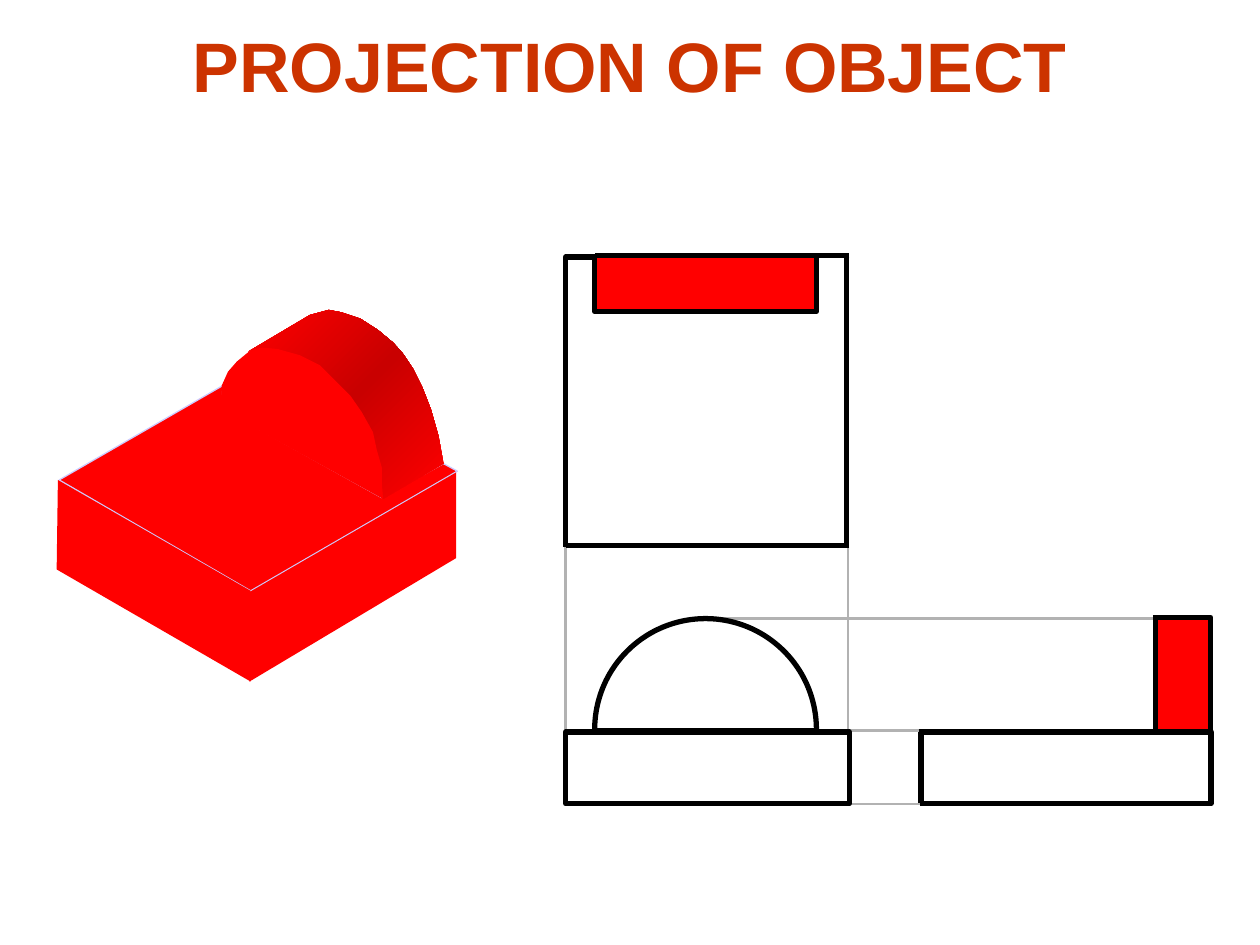
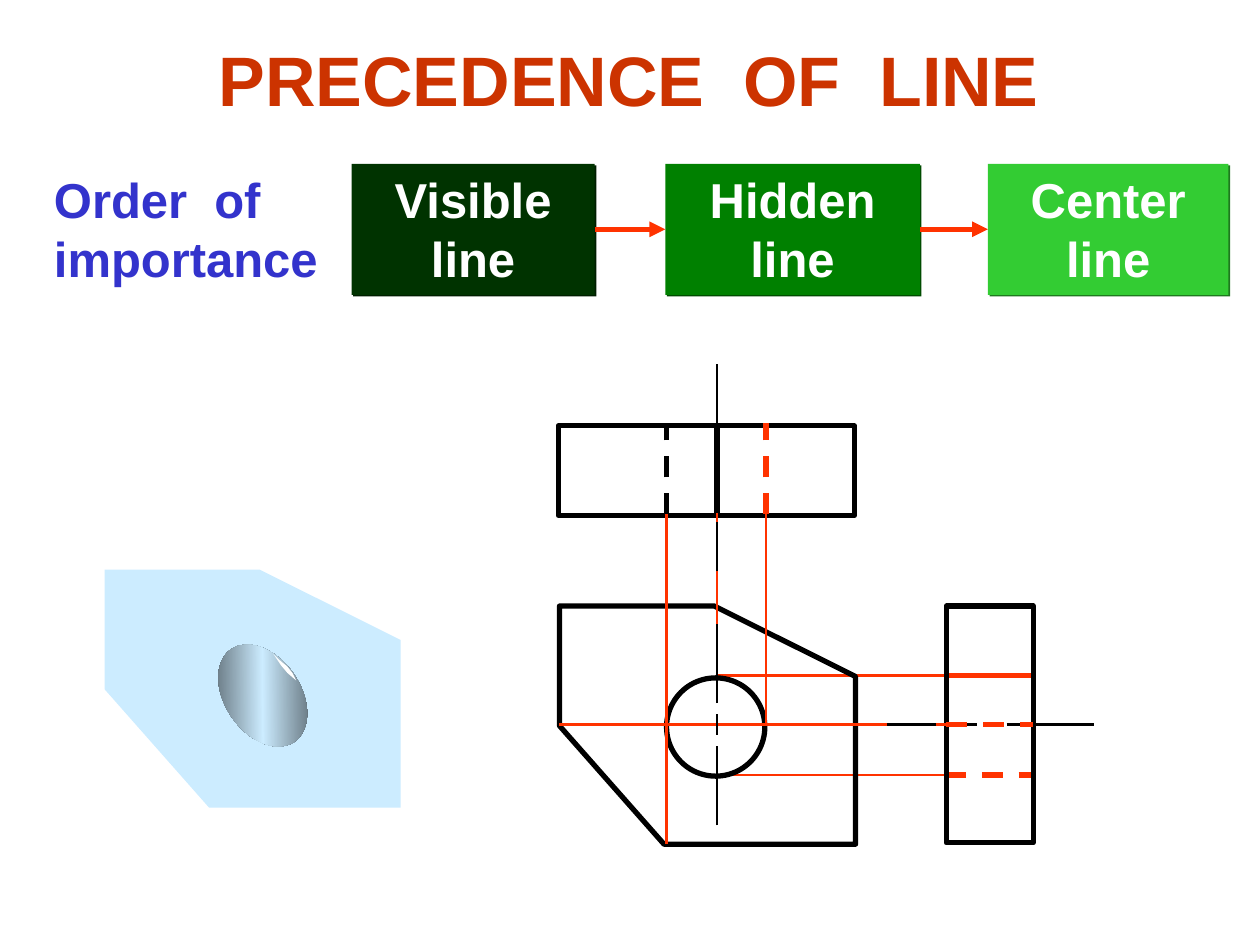
import copy

import lxml.etree
import pptx
import pptx.dml.color
import pptx.enum.dml
import pptx.enum.shapes
import pptx.enum.text
import pptx.oxml.ns
import pptx.util

COLORS = {
    "title": "CC3300", "label": "3333CC", "white": "FFFFFF",
    "outline": "000000", "guide": "B2B2B2", "accent": "FF3300",
    "solid": "FF0000", "solid_shade": "C90000", "solid_edge": "CCCCFF",
    "plate": "CCECFF", "hole_shade": "49545B",
    "visible": "003300", "hidden": "008000", "center": "33CC33",
    "visible_shadow": "001E00", "hidden_shadow": "004C00", "center_shadow": "1E791E",
}
THICK, THIN, HAIR = 3, 1.5, 0.75
SPACE_WIDTH = 0.278  # Arial space, as a share of the text size
SHAPE = pptx.enum.shapes.MSO_SHAPE
ALIGN = pptx.enum.text.PP_ALIGN
ANCHOR = pptx.enum.text.MSO_ANCHOR
TITLE = {"size": pptx.util.Pt(40), "color": "title"}
LABEL = {"size": pptx.util.Pt(28), "color": "label"}
BOX_TEXT = {"size": pptx.util.Pt(28), "color": "white"}

# Outline of the round-topped block, front and back edge
FRONT_ARC = [(3.04, 3.96), (3.03, 3.83), (3.03, 3.71), (2.99, 3.57), (2.96, 3.43),
             (2.87, 3.27), (2.78, 3.14), (2.65, 3.01), (2.54, 2.9), (2.38, 2.82),
             (2.2, 2.77), (2.08, 2.76), (1.99, 2.78)]
FRONT_FOOT = [(1.88, 2.87), (1.81, 2.95), (1.76, 3.06), (1.75, 3.25)]
BACK_ARC = [(1.97, 2.79), (2.46, 2.5), (2.61, 2.46), (2.71, 2.48), (2.86, 2.53),
            (3, 2.62), (3.12, 2.72), (3.2, 2.81), (3.28, 2.93), (3.35, 3.07),
            (3.42, 3.25), (3.48, 3.46), (3.52, 3.68)]


def length(inches):
    return pptx.util.Cm(inches * 2.54)


def rgb(name):
    return pptx.dml.color.RGBColor.from_string(COLORS[name])


def set_all(target, values):
    for name, value in values.items():
        setattr(target, name, value)


def add_xml(parent, tag, **attributes):
    return lxml.etree.SubElement(parent, pptx.oxml.ns.qn(tag), **attributes)


def paint(shape, fill=None, line=None, width=THICK):
    shape.shadow.inherit = False
    if fill:
        shape.fill.solid()
        shape.fill.fore_color.rgb = rgb(fill)
    else:
        shape.fill.background()
    if line:
        shape.line.color.rgb = rgb(line)
        shape.line.width = pptx.util.Pt(width)
    else:
        shape.line.fill.background()
    return shape


def paint_gradient(shape, edge, middle, angle):
    """Blend from edge to middle and back; angle runs clockwise."""
    shape.fill.gradient()
    shape.fill.gradient_angle = 360 - angle
    stop_list = shape._element.spPr.find(".//" + pptx.oxml.ns.qn("a:gsLst"))
    stop_list.insert(1, copy.deepcopy(stop_list[0]))
    for index, (stop, name) in enumerate(zip(shape.fill.gradient_stops, (edge, middle, edge))):
        stop.color.rgb = rgb(name)
        stop.position = index / 2


def add_preset(page, kind, place, **look):
    return paint(page.shapes.add_shape(kind, *map(length, place)), **look)


def add_outline(page, points, closed=True, **look):
    points = [(length(x), length(y)) for x, y in points]
    builder = page.shapes.build_freeform(*points[0], scale=1.0)
    builder.add_line_segments(points[1:], close=closed)
    return paint(builder.convert_to_shape(), **look)


def add_line(page, x1, y1, x2, y2, color="outline", width=THIN, dashed=False,
             arrow=False, start=None, end=None):
    line = page.shapes.add_connector(pptx.enum.shapes.MSO_CONNECTOR.STRAIGHT,
                                     *map(length, (x1, y1, x2, y2)))
    if start:
        line.begin_connect(start, 3 if arrow else 1)
    if end:
        line.end_connect(end, 1 if arrow or not start else 3)
    line.line.color.rgb = rgb(color)
    line.line.width = pptx.util.Pt(width)
    if dashed:
        line.line.dash_style = pptx.enum.dml.MSO_LINE.DASH
    if arrow:
        add_xml(line.line._get_or_add_ln(), "a:tailEnd", type="triangle")
    add_xml(line._element.spPr, "a:effectLst")


def write(shape, lines, style, align=ALIGN.CENTER, anchor=ANCHOR.TOP,
          wrap=True, wide_gaps=False):
    frame = shape.text_frame
    set_all(frame, {"word_wrap": wrap, "vertical_anchor": anchor,
                    "margin_left": length(0.1), "margin_right": length(0.1),
                    "margin_top": length(0.05), "margin_bottom": length(0.05)})
    for index, text in enumerate(lines):
        para = frame.add_paragraph() if index else frame.paragraphs[0]
        para.alignment = align
        pieces = text.replace(" ", "| |").split("|") if wide_gaps else [text]
        for piece in pieces:
            span = para.add_run()
            span.text = piece
            set_all(span.font, {"name": "Arial", "bold": True, "size": style["size"]})
            span.font.color.rgb = rgb(style["color"])
            if piece == " ":
                spacing = round(style["size"].pt * SPACE_WIDTH * 100)
                span.font._element.set("spc", str(spacing))


def add_text(page, place, lines, style, **layout):
    write(page.shapes.add_textbox(*map(length, place)), lines, style, **layout)


def add_rank_box(page, left, width, word, color):
    box = add_preset(page, SHAPE.RECTANGLE, (left, 1.3, width, 1.04), fill=color)
    effects = box._element.spPr.find(pptx.oxml.ns.qn("a:effectLst"))
    shadow = add_xml(effects, "a:outerShdw", dist=str(pptx.util.Pt(1.4)),
                     dir="2700000", algn="ctr", rotWithShape="0")
    add_xml(shadow, "a:srgbClr", val=COLORS[color + "_shadow"])
    write(box, [word, "line"], BOX_TEXT)
    return box


def draw_solid_block(page):
    add_outline(page, [(3.52, 3.68), (3.63, 3.74), (1.99, 4.69), (0.47, 3.81),
                       (1.77, 3.06), (1.76, 3.24), (3.03, 3.95)],
                fill="solid", line="solid_edge", width=HAIR)
    add_outline(page, [(0.46, 3.81), (0.45, 4.52), (1.99, 5.41), (1.99, 4.69)], fill="solid")
    add_outline(page, [(1.98, 5.41), (1.98, 4.7), (3.62, 3.75), (3.62, 4.43)], fill="solid")
    rim = add_outline(page, BACK_ARC + FRONT_ARC, fill="solid")
    paint_gradient(rim, "solid", "solid_shade", 225)
    add_outline(page, FRONT_ARC + FRONT_FOOT, fill="solid")


def draw_projection(page):
    # Filled faces and guide lines
    for place in ((9.17, 4.92, 0.42, 0.88), (4.73, 2.02, 1.74, 0.44)):
        add_preset(page, SHAPE.RECTANGLE, place, fill="solid")
    for ends in ((5.6, 4.91, 9.33, 4.91), (4.49, 5.83, 4.49, 2.12),
                 (6.73, 5.91, 6.73, 2.19), (6.6, 5.8, 7.68, 5.8),
                 (6.58, 6.38, 7.66, 6.38)):
        add_line(page, *ends, color="guide")
    draw_solid_block(page)

    # Front, side and top views
    add_preset(page, SHAPE.RECTANGLE, (4.49, 5.81, 2.25, 0.57), line="outline")
    for points in ([(7.29, 5.81), (9.61, 5.81), (9.61, 6.38), (7.3, 6.38)],
                   [(6.74, 2.03), (6.48, 2.03), (6.48, 2.47), (4.72, 2.47),
                    (4.72, 2.04), (4.49, 2.04), (4.49, 4.34)],
                   [(9.15, 4.9), (9.61, 4.9), (9.61, 5.81)]):
        add_outline(page, points, closed=False, line="outline")
    arch = add_preset(page, SHAPE.ARC, (4.72, 4.91, 1.76, 1.76), line="outline")
    arch.adjustments[0], arch.adjustments[1] = 108, 0  # 180 to 0 degrees
    for ends in ((7.31, 6.37, 7.31, 5.81), (6.74, 4.33, 4.49, 4.33),
                 (6.72, 2.03, 6.72, 4.34), (4.72, 5.8, 6.48, 5.8),
                 (9.17, 4.91, 9.17, 5.82), (6.48, 2.03, 4.72, 2.03)):
        add_line(page, *ends, width=THICK)
    add_text(page, (1.43, 0.13, 7.14, 0.77), ["PROJECTION OF OBJECT"], TITLE, wrap=False)


def plate_points(left, top):
    corners = [(0, 0), (0, 0.95), (0.83, 1.89), (2.35, 1.89), (2.35, 0.56), (1.23, 0)]
    return [(left + x, top + y) for x, y in corners]


def draw_order(page):
    add_text(page, (0.33, 1.3, 2.29, 1.04), ["Order of", "importance"], LABEL,
             align=ALIGN.LEFT, wrap=False, wide_gaps=True)
    boxes = [add_rank_box(page, *rank) for rank in (
        (2.79, 1.93, "Visible", "visible"), (5.28, 2.02, "Hidden", "hidden"),
        (7.84, 1.91, "Center", "center"))]
    for start, end in zip(boxes, boxes[1:]):
        add_line(page, 0, 0, 0, 0, color="accent", width=THICK, arrow=True,
                 start=start, end=end)


def draw_plate(page):
    add_outline(page, plate_points(0.83, 4.52), fill="plate")
    hole = add_preset(page, SHAPE.OVAL, (1.64, 5.22, 0.89, 0.6))
    hole.rotation = 55.6
    paint_gradient(hole, "hole_shade", "plate", 124)
    add_outline(page, [(2.35, 5.4), (2.28, 5.34), (2.23, 5.28), (2.17, 5.19),
                       (2.22, 5.24), (2.28, 5.29), (2.32, 5.34)], fill="white")


def draw_views(page):
    axis_x, axis_y = 5.69, 5.75

    # Side view edges of the hole
    for y in (5.36, 6.15):
        add_line(page, 5.68, y, 7.51, y, color="accent")
        add_line(page, 7.5, y, 8.21, y, color="accent", width=THICK, dashed=y > axis_y)
    add_line(page, 7.5, 5.36, 8.21, 5.36, color="accent", width=THICK)

    # Visible outlines
    add_outline(page, plate_points(4.44, 4.81), line="outline")
    add_preset(page, SHAPE.OVAL, (5.29, 5.38, 0.78, 0.78), line="outline")
    side = add_preset(page, SHAPE.RECTANGLE, (7.51, 4.81, 0.69, 1.88), line="outline")
    add_preset(page, SHAPE.RECTANGLE, (4.43, 3.38, 2.35, 0.71), line="outline")

    # Horizontal axis
    for x1, x2 in ((7.25, 7.75), (7.8, 7.93), (7.99, 8.52)):
        add_line(page, x1, axis_y, x2, axis_y)
    add_line(page, 4.44, axis_y, 7.51, axis_y, color="accent", end=side)
    add_line(page, 7.51, axis_y, 8.2, axis_y, color="accent", width=THICK,
             dashed=True, start=side, end=side)
    for x1, x2 in ((8.28, 8.68), (7.04, 7.43)):
        add_line(page, x1, axis_y, x2, axis_y)

    # Hole edges carried up to the top view
    for x, bottom, color in ((5.29, 6.7, "outline"), (6.08, axis_y, "accent")):
        add_line(page, x, bottom, x, 4.08, color="accent")
        add_line(page, x, 4.08, x, 3.36, color=color, width=THICK, dashed=True)

    # Vertical axis
    add_line(page, axis_x, 4.95, axis_x, 4.07, color="accent")
    add_line(page, axis_x, 4.07, axis_x, 3.36, width=THICK)
    for y1, y2 in ((6.55, 5.92), (5.83, 5.67), (5.58, 4.95),
                   (4.53, 4.14), (3.58, 3.04), (3.29, 2.89)):
        add_line(page, axis_x, y1, axis_x, y2)


def draw_precedence(page):
    add_text(page, (0.74, 0, 8.5, 1.25), ["PRECEDENCE OF LINE"], TITLE,
             anchor=ANCHOR.MIDDLE, wide_gaps=True)
    draw_order(page)
    draw_plate(page)
    draw_views(page)


def main():
    deck = pptx.Presentation()
    set_all(deck, {"slide_width": length(10), "slide_height": length(7.5)})
    for draw in (draw_projection, draw_precedence):
        draw(deck.slides.add_slide(deck.slide_layouts[6]))
    deck.save("out.pptx")


if __name__ == "__main__":
    main()
